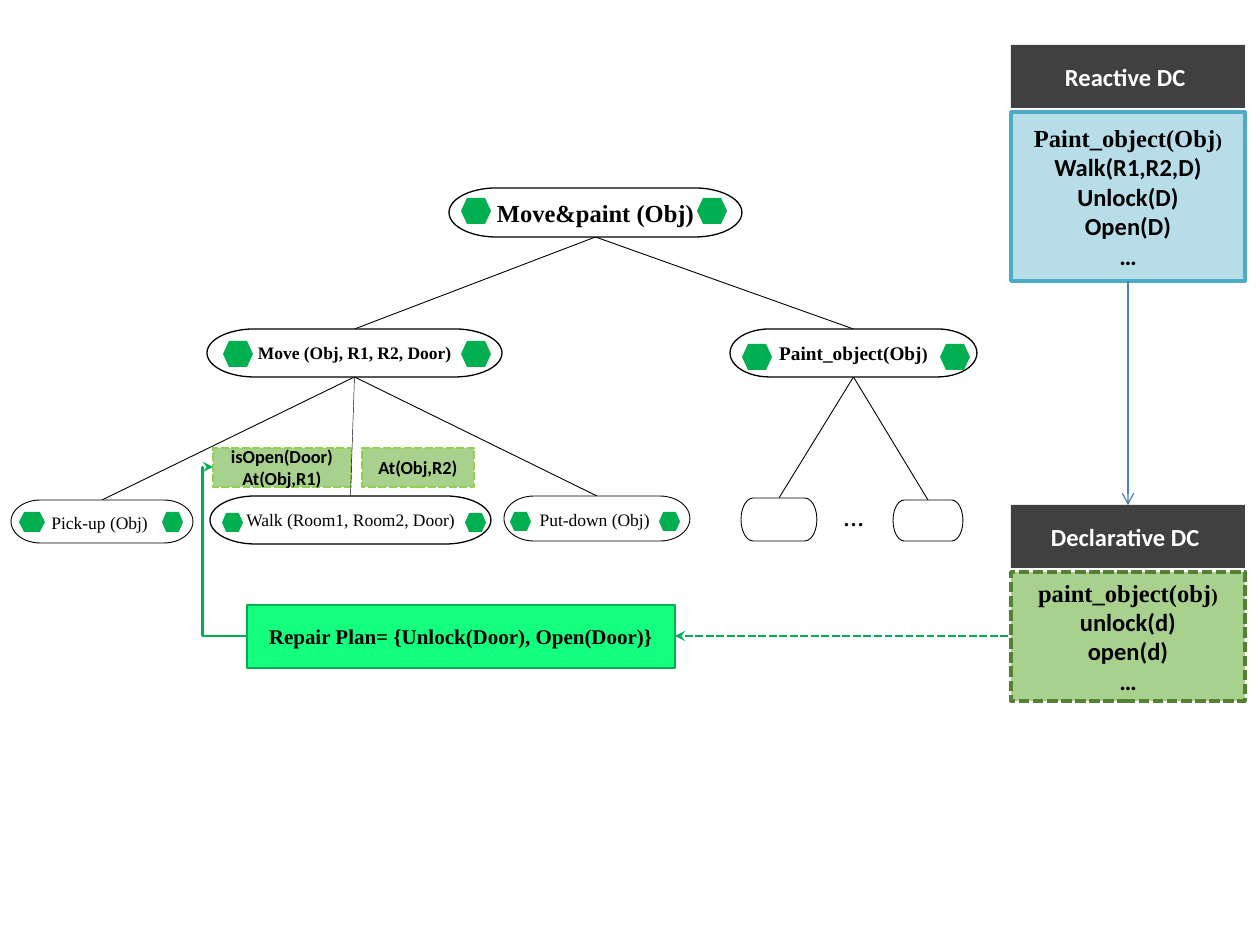
import pptx
import pptx.util
import pptx.dml.color
import pptx.enum.dml
import pptx.enum.shapes
import pptx.enum.text
import pptx.oxml.ns
import pptx.oxml.xmlchemy
from dataclasses import dataclass

SHAPE = pptx.enum.shapes.MSO_SHAPE
LINK = pptx.enum.shapes.MSO_CONNECTOR
DASH = pptx.enum.dml.MSO_LINE.SQUARE_DOT
SCALE = 914400 / 126  # EMU in one px


@dataclass(frozen=True)
class Theme:
    serif: str = "Times New Roman"
    sans: str = "Calibri"
    black: str = "000000"
    white: str = "FFFFFF"
    dark: str = "404040"
    green: str = "00B050"
    mint: str = "15FF7F"
    sage: str = "A9D18E"
    lime: str = "92D050"
    moss: str = "548235"
    sky: str = "B7DEE8"
    teal: str = "4BACC6"
    blue: str = "4B7EBC"
    tag: float = 10.5
    leaf: float = 10
    small: float = 11
    plan: float = 12
    head: float = 14


T = Theme()


def emu(px):
    return pptx.util.Emu(round(px * SCALE))


def color(code):
    return pptx.dml.color.RGBColor.from_string(code)


def run(text, size, face=T.serif, bold=True, ink=T.black):
    return text, size, face, bold, ink


def write(shape, lines):
    """Fill a shape with centred lines, each a list of runs."""
    frame = shape.text_frame
    frame.word_wrap = False
    frame.vertical_anchor = pptx.enum.text.MSO_ANCHOR.MIDDLE
    frame.margin_left = frame.margin_right = 0
    frame.margin_top = frame.margin_bottom = 0
    for i, runs in enumerate(lines):
        para = frame.paragraphs[0] if i == 0 else frame.add_paragraph()
        para.alignment = pptx.enum.text.PP_ALIGN.CENTER
        for text, size, face, bold, ink in runs:
            part = para.add_run()
            part.text = text
            part.font.size = pptx.util.Pt(size)
            part.font.name = face
            part.font.bold = bold
            part.font.color.rgb = color(ink)


def stroke(line, ink, width, dash=False):
    line.color.rgb = color(ink)
    line.width = pptx.util.Pt(width)
    if dash:
        line.dash_style = DASH


def box(slide, kind, place, fill, edge=None, lines=()):
    """Add a shape; edge is (colour, width[, dashed])."""
    shape = slide.shapes.add_shape(kind, *map(emu, place))
    shape.shadow.inherit = False
    shape.fill.solid()
    shape.fill.fore_color.rgb = color(fill)
    if edge:
        stroke(shape.line, *edge)
    else:
        shape.line.fill.background()
    if lines:
        write(shape, lines)
    return shape


def wire(slide, kind, start, end, edge, tip=None, bend=None):
    """Add a connector; tip is (end tag, arrow type)."""
    line = slide.shapes.add_connector(kind, *map(emu, (*start, *end)))
    stroke(line.line, *edge)
    props = line._element.spPr
    qn = pptx.oxml.ns.qn
    make = pptx.oxml.xmlchemy.OxmlElement
    if tip:
        mark = make("a:" + tip[0])
        mark.set("type", tip[1])
        props.find(qn("a:ln")).append(mark)
    if bend is not None:
        guide = make("a:gd")
        guide.set("name", "adj1")
        guide.set("fmla", f"val {round(bend * 100000)}")
        props.find(qn("a:prstGeom")).find(qn("a:avLst")).append(guide)
    props.append(make("a:effectLst"))


def branch(slide, top, low, width=0.5):
    """Link the foot of one node to the head of another."""
    start = top[0] + top[2] / 2, top[1] + top[3]
    end = low[0] + low[2] / 2, low[1]
    wire(slide, LINK.STRAIGHT, start, end, (T.black, width))


def panel(slide, top, title, high, first, names, fill, edge):
    """Add a dark title bar with a list box under it."""
    left, wide = 1011, 234
    box(slide, SHAPE.RECTANGLE, (left, top, wide, 63), T.dark,
        lines=[[run(title, T.head, T.sans, ink=T.white)]])
    lines = [[run(first, T.head), run(")", T.small)]]
    lines += [[run(name, T.head, T.sans)] for name in names]
    box(slide, SHAPE.RECTANGLE, (left, top + 67, wide, high), fill, edge, lines)


def tree(slide):
    root, move, paint = (449, 188, 293, 49), (207, 329, 295, 48), (730, 329, 247, 48)
    walk, put, pick = (210, 496, 281, 48), (504, 496, 186, 45), (11, 500, 182, 43)
    near, far = (741, 498, 76, 43), (893, 500, 70, 41)

    # Branches
    branch(slide, move, walk, 0.25)
    for top, low in ((move, pick), (move, put), (root, move), (root, paint),
                     (paint, near), (paint, far)):
        branch(slide, top, low)

    # Nodes
    nodes = (
        (root, 0.75, [run("Move&paint (Obj)", T.head)]),
        (move, 0.75, [run("Move (Obj, R1, R2, Door)", T.leaf)]),
        (paint, 0.75, [run("Paint_object(Obj", T.small), run(")", T.leaf)]),
        (walk, 0.75, [run("Walk (Room1, Room2, Door)", T.leaf, bold=False)]),
        (put, 0.5, [run("Put-down (Obj)", T.leaf, bold=False),
                    run(" ", T.small, bold=False)]),
        (pick, 0.5, [run("Pick-up (Obj)", T.leaf, bold=False),
                     run(" ", T.small, bold=False)]),
        (near, 0.5, None),
        (far, 0.5, None),
    )
    for place, width, runs in nodes:
        box(slide, SHAPE.FLOWCHART_TERMINATOR, place, T.white,
            (T.black, width), [runs] if runs else ())
    dots = slide.shapes.add_textbox(*map(emu, (820, 496, 67, 45)))
    write(dots, [[run("…", T.plan)]])

    # Hexagon marks: both lefts, top, both widths, height
    marks = (
        (461, 697, 198, 30, 30, 26),
        (223, 461, 341, 30, 30, 26),
        (742, 940, 344, 30, 30, 26),
        (19, 162, 512, 26, 21, 20),
        (222, 465, 513, 21, 21, 19),
        (510, 659, 512, 21, 21, 19),
    )
    for left, right, top, wide, slim, high in marks:
        for x, w in ((left, wide), (right, slim)):
            box(slide, SHAPE.FLOWCHART_PREPARATION, (x, top, w, high), T.green)


def main():
    deck = pptx.Presentation()
    deck.slide_width, deck.slide_height = emu(1260), emu(945)
    slide = deck.slides.add_slide(deck.slide_layouts[6])

    # Conditions around the walk step
    tags = (
        ((362, 448, 112, 39), ("At(Obj,R2)",)),
        ((213, 448, 138, 39), ("isOpen(Door)", "At(Obj,R1)")),
    )
    for place, names in tags:
        box(slide, SHAPE.RECTANGLE, place, T.sage, (T.lime, 1.5, True),
            [[run(name, T.tag, T.sans)] for name in names])

    tree(slide)

    # Repair plan and its arrows
    box(slide, SHAPE.RECTANGLE, (247, 605, 428, 63), T.mint, (T.green, 1.5),
        [[run("Repair Plan= {Unlock(Door), Open(Door)}", T.plan)]])
    tip = ("headEnd", "stealth")
    wire(slide, LINK.ELBOW, (213, 467), (247, 636), (T.green, 1.5), tip, -0.31)
    wire(slide, LINK.ELBOW, (675, 636), (1010, 636), (T.green, 1.5, True), tip)

    # Domain panels
    panel(slide, 45, "Reactive DC ", 169, "Paint_object(Obj",
          ("Walk(R1,R2,D)", "Unlock(D)", "Open(D)", "…"), T.sky, (T.teal, 2))
    panel(slide, 505, "Declarative DC ", 129, "paint_object(obj",
          ("unlock(d)", "open(d)", "…"), T.sage, (T.moss, 2, True))
    wire(slide, LINK.STRAIGHT, (1128, 281), (1128, 505), (T.blue, 0.75),
         ("tailEnd", "arrow"))

    deck.save("out.pptx")


if __name__ == "__main__":
    main()
